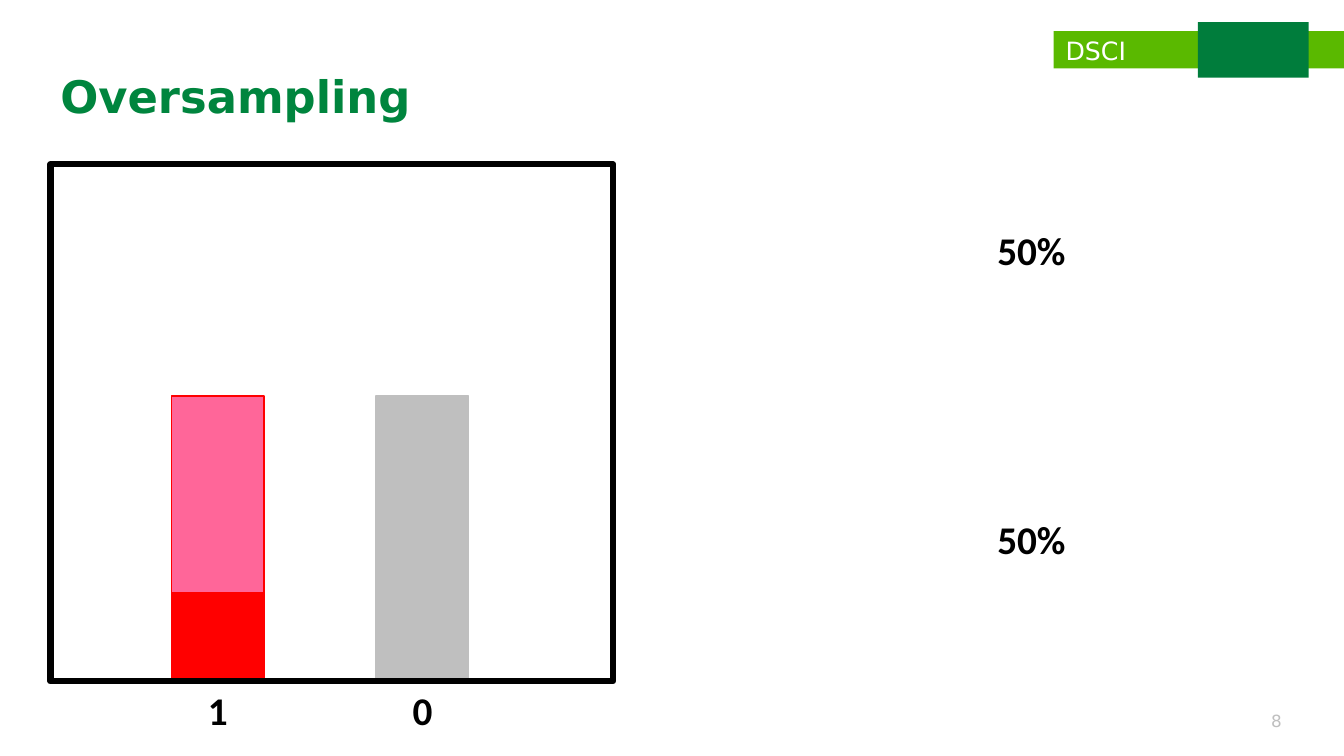
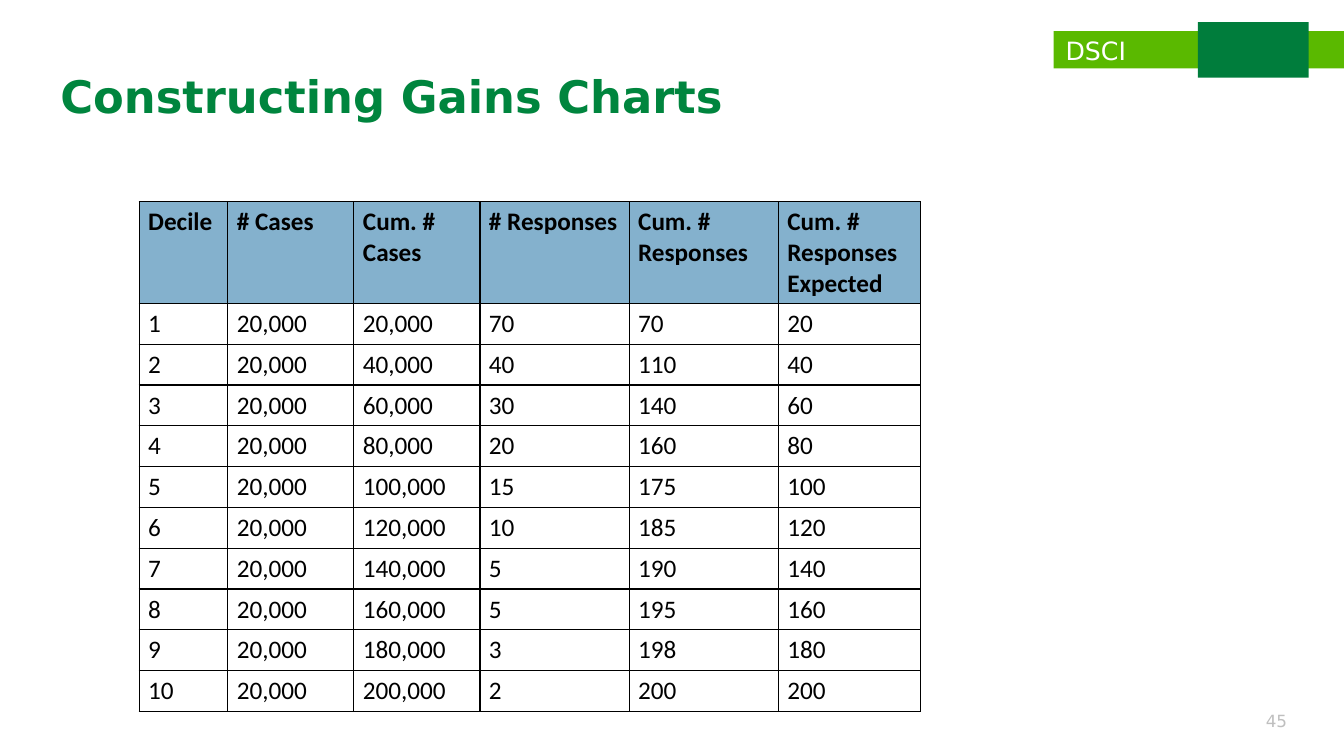
from itertools import accumulate

from lxml import etree
from pptx import Presentation
from pptx.dml.color import RGBColor
from pptx.enum.shapes import MSO_SHAPE
from pptx.enum.text import MSO_ANCHOR, PP_ALIGN
from pptx.oxml.ns import qn
from pptx.util import Inches, Pt

COLORS = {
    "band": "5AB900",
    "block": "007D3C",
    "title": "00853E",
    "white": "FFFFFF",
    "black": "000000",
    "gray": "BFBFBF",
    "red": "FF0000",
    "pink": "FF6699",
    "header": "84B1CD",
}
HEADING_FONT = "DejaVu Sans"
BODY_FONT = "Calibri"

DECILE_COLUMNS = {
    "Decile": 0.88,
    "# Cases": 1.25,
    "Cum. # Cases": 1.25,
    "# Responses": 1.48,
    "Cum. # Responses": 1.48,
    "Cum. # Responses Expected": 1.41,
}
CASES_PER_DECILE = 20000
RESPONSES = [70, 40, 30, 20, 15, 10, 5, 5, 3, 2]


def rgb(color):
    return RGBColor.from_string(COLORS[color])


def add_rect(slide, box, fill=None, line=None, line_width=1):
    rect = slide.shapes.add_shape(MSO_SHAPE.RECTANGLE, *map(Inches, box))
    rect.shadow.inherit = False
    if fill:
        rect.fill.solid()
        rect.fill.fore_color.rgb = rgb(fill)
    else:
        rect.fill.background()
    if line:
        rect.line.color.rgb = rgb(line)
        rect.line.width = Pt(line_width)
    else:
        rect.line.fill.background()


def add_run(paragraph, text, size, font, color, bold=False):
    run = paragraph.add_run()
    run.text = text
    run.font.size = Pt(size)
    run.font.name = font
    run.font.color.rgb = rgb(color)
    run.font.bold = bold


def add_text(slide, box, text, size, font, color, bold=False,
             align=PP_ALIGN.LEFT, anchor=MSO_ANCHOR.TOP, wrap=True):
    frame = slide.shapes.add_textbox(*map(Inches, box)).text_frame
    frame.word_wrap = wrap
    frame.vertical_anchor = anchor
    paragraph = frame.paragraphs[0]
    paragraph.alignment = align
    add_run(paragraph, text, size, font, color, bold)
    return paragraph


def add_course_band(slide, left, top):
    add_rect(slide, (left, top + 0.09, 2.89, 0.37), "band")
    add_text(slide, (left + 0.02, top + 0.08, 1.37, 0.4), "DSCI", 18, HEADING_FONT, "white")
    add_rect(slide, (left + 1.43, top, 1.1, 0.55), "block")


def add_base_slide(prs, title, number):
    slide = prs.slides.add_slide(prs.slide_layouts[6])
    add_course_band(slide, 10.45, 0.22)
    heading = add_text(slide, (0.5, 0.4, 11.4, 1.16), title, 32, HEADING_FONT, "title",
                       bold=True, anchor=MSO_ANCHOR.MIDDLE)
    heading.line_spacing = 0.9
    add_text(slide, (12.4, 6.95, 0.52, 0.4), str(number), 12, HEADING_FONT, "gray",
             align=PP_ALIGN.CENTER, anchor=MSO_ANCHOR.MIDDLE)
    return slide


def add_label(slide, center, top, text, width):
    add_text(slide, (center - width / 2, top, width, 0.57), text, 28, BODY_FONT, "black",
             bold=True, align=PP_ALIGN.CENTER, wrap=False)


def add_class_bars(slide, left, top, width, height):
    """Draw the framed bars of both classes, each a stack of (height, fill, line)."""
    bar_width, bar_step, first_bar = 0.92, 2.03, left + 1.2
    baseline = top + height
    classes = {
        "1": [(2.83, "pink", "red"), (0.88, "red", "red")],
        "0": [(2.83, "gray", "gray")],
    }
    for index, (name, layers) in enumerate(classes.items()):
        bar_left = first_bar + index * bar_step
        for bar_height, fill, line in layers:
            add_rect(slide, (bar_left, baseline - bar_height, bar_width, bar_height), fill, line)
        add_label(slide, bar_left + bar_width / 2, baseline, name, 0.4)
    add_rect(slide, (left, top, width, height), line="black", line_width=4.5)


def add_class_shares(slide, center, top, step):
    for index in range(2):
        add_label(slide, center, top + index * step, "50%", 0.89)


def add_cell_borders(cell):
    properties = cell._tc.get_or_add_tcPr()
    for position, side in enumerate(("a:lnL", "a:lnR", "a:lnT", "a:lnB")):
        border = etree.Element(qn(side), w=str(Pt(1)))
        fill = etree.SubElement(border, qn("a:solidFill"))
        etree.SubElement(fill, qn("a:srgbClr"), val=COLORS["black"])
        properties.insert(position, border)


def fill_cell(cell, text, is_header):
    cell.margin_left = cell.margin_right = Inches(0.09)
    cell.margin_top = cell.margin_bottom = Inches(0.05)
    if is_header:
        cell.fill.solid()
        cell.fill.fore_color.rgb = rgb("header")
    else:
        cell.fill.background()
    add_run(cell.text_frame.paragraphs[0], text, 18, BODY_FONT, "black", bold=is_header)
    add_cell_borders(cell)


def decile_rows():
    expected_step = sum(RESPONSES) // len(RESPONSES)
    for decile, (count, total) in enumerate(zip(RESPONSES, accumulate(RESPONSES)), 1):
        values = (decile, CASES_PER_DECILE, decile * CASES_PER_DECILE,
                  count, total, decile * expected_step)
        yield [f"{value:,}" for value in values]


def add_decile_table(slide, left, top, width, height):
    rows = [list(DECILE_COLUMNS), *decile_rows()]
    header_height = 1.01
    row_height = (height - header_height) / len(RESPONSES)
    table = slide.shapes.add_table(len(rows), len(DECILE_COLUMNS),
                                   *map(Inches, (left, top, width, height))).table
    table.first_row = table.horz_banding = False
    for column, column_width in zip(table.columns, DECILE_COLUMNS.values()):
        column.width = Inches(column_width)
    for row_index, texts in enumerate(rows):
        is_header = row_index == 0
        table.rows[row_index].height = Inches(header_height if is_header else row_height)
        for column_index, text in enumerate(texts):
            fill_cell(table.cell(row_index, column_index), text, is_header)


def build_oversampling(prs):
    slide = add_base_slide(prs, "Oversampling", 8)
    add_class_bars(slide, 0.5, 1.63, 5.58, 5.13)
    add_class_shares(slide, 10.23, 2.2, 2.86)


def build_gains_table(prs):
    slide = add_base_slide(prs, "Constructing Gains Charts", 45)
    add_decile_table(slide, 1.38, 2, sum(DECILE_COLUMNS.values()), 5.06)


def main():
    prs = Presentation()
    prs.slide_width = Inches(13.33)
    prs.slide_height = Inches(7.5)
    build_oversampling(prs)
    build_gains_table(prs)
    prs.save("out.pptx")


if __name__ == "__main__":
    main()
